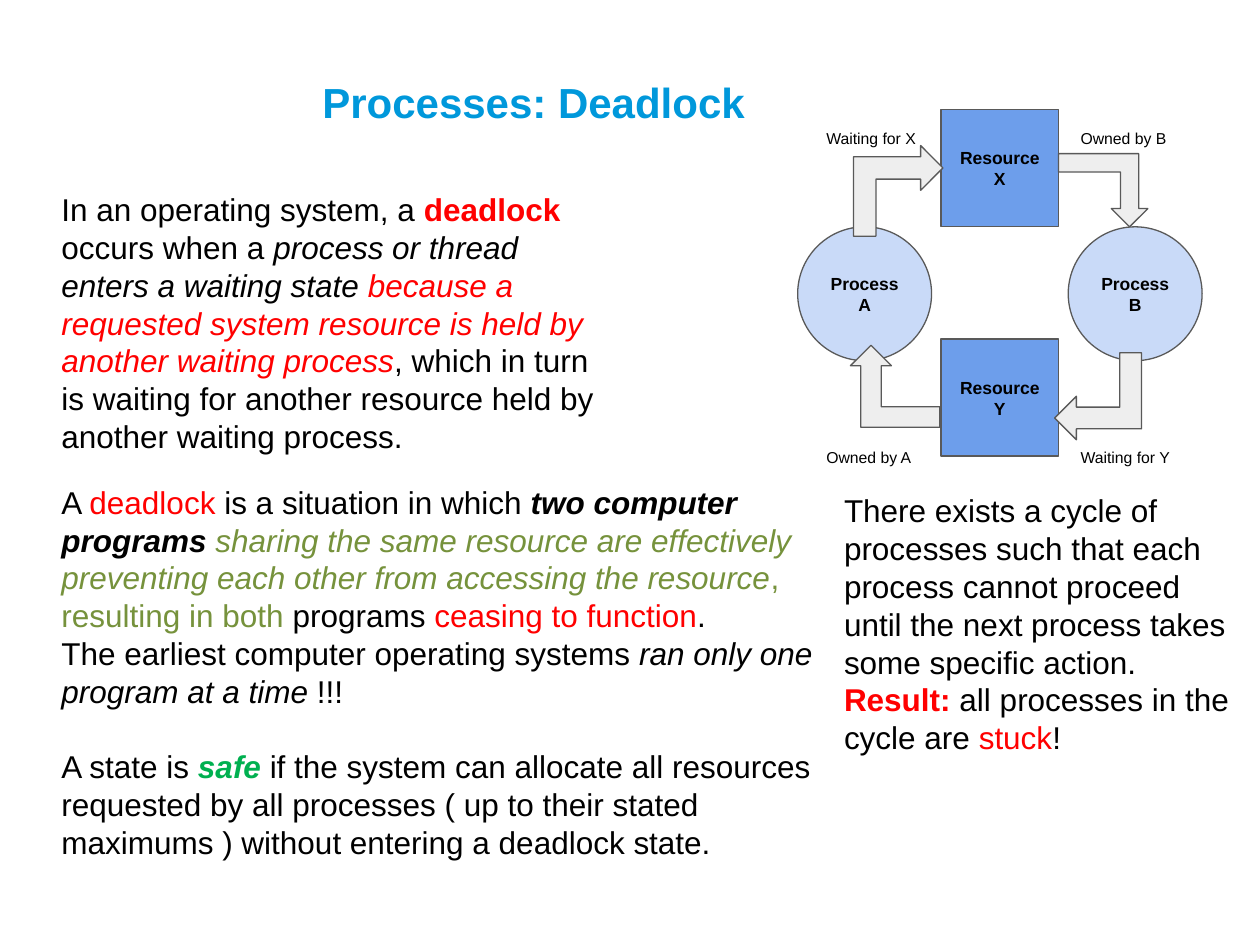
import pptx
import pptx.dml.color
import pptx.enum.shapes
import pptx.enum.text
import pptx.util

Pt = pptx.util.Pt
KIND = pptx.enum.shapes.MSO_SHAPE
ANCHOR = pptx.enum.text.MSO_ANCHOR
ALIGN = pptx.enum.text.PP_ALIGN

COLORS = {
    "black": "000000", "title": "0098DB", "red": "FF0000",
    "olive": "76923C", "green": "00B050", "line": "595959",
    "box": "6D9EEB", "disc": "C9DAF8", "arrow": "EEEEEE",
}

INTRO = [[
    ("In an operating system, a ", {}),
    ("deadlock", {"color": "red", "bold": True}),
    (" occurs when a ", {}),
    ("process or thread enters a waiting state ", {"italic": True}),
    ("because a requested system resource is held by another waiting process",
     {"color": "red", "italic": True}),
    (", which in turn is waiting for another resource held by another "
     "waiting process.", {}),
]]
DETAIL = [
    [
        ("A ", {}),
        ("deadlock", {"color": "red"}),
        (" is a situation in which ", {}),
        ("two computer programs ", {"bold": True, "italic": True}),
        ("sharing the same resource are effectively preventing each other "
         "from accessing the resource", {"color": "olive", "italic": True}),
        (", resulting in both ", {"color": "olive"}),
        ("programs ", {}),
        ("ceasing to function", {"color": "red"}),
        (".", {}),
    ],
    [
        ("The earliest computer operating systems ", {}),
        ("ran only one program at a time", {"italic": True}),
        (" !!!", {}),
    ],
    [
        ("A state is ", {}),
        ("safe", {"color": "green", "bold": True, "italic": True}),
        (" if the system can allocate all resources requested by all "
         "processes ( up to their stated maximums ) without entering a "
         "deadlock state.", {}),
    ],
]
CYCLE = [[
    ("There exists a cycle of processes such that each process cannot proceed "
     "until the next process takes some specific action. ", {}),
    ("Result:", {"color": "red", "bold": True}),
    (" all processes in the cycle are ", {}),
    ("stuck", {"color": "red"}),
    ("!", {}),
]]


def rgb(name):
    return pptx.dml.color.RGBColor.from_string(COLORS[name])


def style(font, size, color="black", **form):
    form = {"name": "Arial", "size": Pt(size), "bold": False,
            "italic": False, **form}
    for key, value in form.items():
        setattr(font, key, value)
    font.color.rgb = rgb(color)


def frame(shape, anchor, pad=7.2):
    text = shape.text_frame
    form = {"word_wrap": True, "vertical_anchor": anchor,
            "margin_left": Pt(7.2), "margin_right": Pt(7.2),
            "margin_top": Pt(pad), "margin_bottom": Pt(pad)}
    for key, value in form.items():
        setattr(text, key, value)
    return text


def place(shape, *area):
    for key, value in zip(("left", "top", "width", "height"), area):
        setattr(shape, key, Pt(value))


def title(slide, words):
    head = slide.shapes.title
    place(head, 177, 26.6, 530.6, 49.7)
    text = frame(head, ANCHOR.BOTTOM, 3.6)
    text.text = words
    text.paragraphs[0].alignment = ALIGN.LEFT
    style(text.paragraphs[0].runs[0].font, 24, "title", bold=True)


def write(slide, area, paras, size=18, anchor=ANCHOR.MIDDLE):
    """Add a text box from paragraphs of (words, format) runs."""
    box = slide.shapes.add_textbox(*map(Pt, area))
    text = frame(box, anchor)
    for index, runs in enumerate(paras):
        para = text.add_paragraph() if index else text.paragraphs[0]
        for words, form in runs:
            run = para.add_run()
            run.text = words
            style(run.font, size, **form)
    return text


def draw(slide, kind, area, fill):
    shape = slide.shapes.add_shape(kind, *map(Pt, area))
    shape.shadow.inherit = False
    shape.fill.solid()
    shape.fill.fore_color.rgb = rgb(fill)
    shape.line.color.rgb = rgb("line")
    shape.line.width = Pt(0.75)
    return shape


def node(slide, kind, area, fill, words):
    text = frame(draw(slide, kind, area, fill), ANCHOR.MIDDLE)
    text.text = words
    for para in text.paragraphs:
        para.alignment = ALIGN.CENTER
        for run in para.runs:
            style(run.font, 10, bold=True)


def arrow(slide, area, turn):
    """Add a bent arrow, mirrored and then turned."""
    shape = draw(slide, KIND.BENT_UP_ARROW, area, "arrow")
    shape.rotation = turn
    shape.element.spPr.xfrm.set("flipH", "1")


def main():
    deck = pptx.Presentation()
    deck.slide_width, deck.slide_height = Pt(720), Pt(540)
    slide = deck.slides.add_slide(deck.slide_layouts[5])

    title(slide, "Processes: Deadlock")
    write(slide, (28, 102.2, 322.6, 164.2), INTRO)
    detail = write(slide, (28, 265.7, 455, 236.2), DETAIL)
    detail.paragraphs[-1].space_before = Pt(21.5)
    write(slide, (475.2, 238.3, 236.2, 236.2), CYCLE)

    for name, top in (("X", 62.6), ("Y", 193.7)):
        node(slide, KIND.RECTANGLE, (537.8, top, 67, 67), "box",
             f"Resource\n{name}")
    for name, left in (("A", 455.8), ("B", 610.4)):
        node(slide, KIND.OVAL, (left, 129.6, 76.5, 76.5), "disc",
             f"Process\v{name}")

    for area, turn in (
        ((604.8, 87.8, 51.1, 41.8), 180),
        ((602.6, 201.6, 49.7, 49.7), 270),
        ((486, 197.3, 51.1, 46.8), 0),
        ((487.4, 83.5, 51.8, 51.1), 90),
    ):
        arrow(slide, area, turn)

    for top, pair in ((68.4, ("Waiting for X", "Owned by B")),
                      (250.6, ("Owned by A", "Waiting for Y"))):
        for left, words in zip((465.1, 610.4), pair):
            write(slide, (left, top, 67, 23), [[(words, {})]], 9, ANCHOR.TOP)

    deck.save("out.pptx")


if __name__ == "__main__":
    main()
